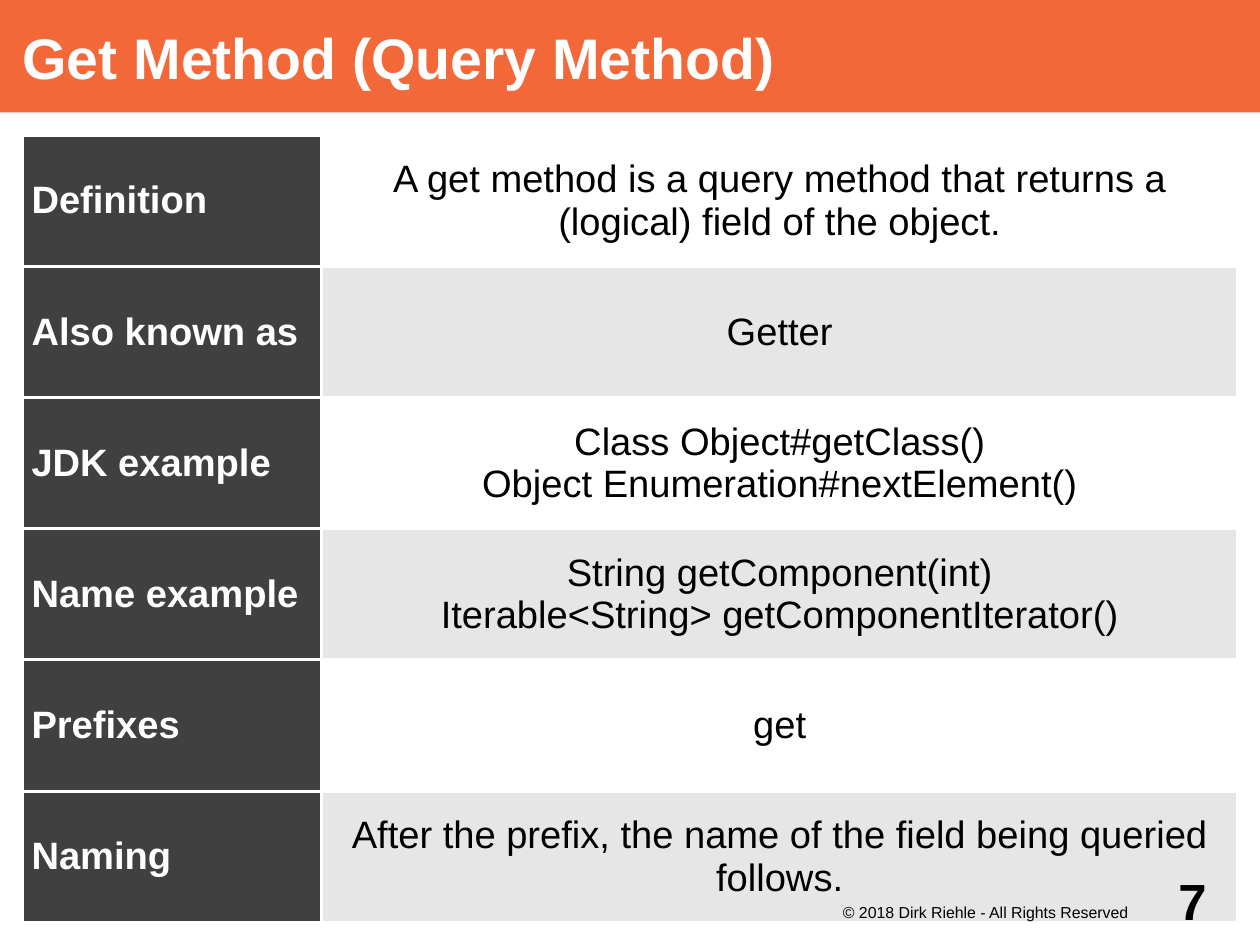
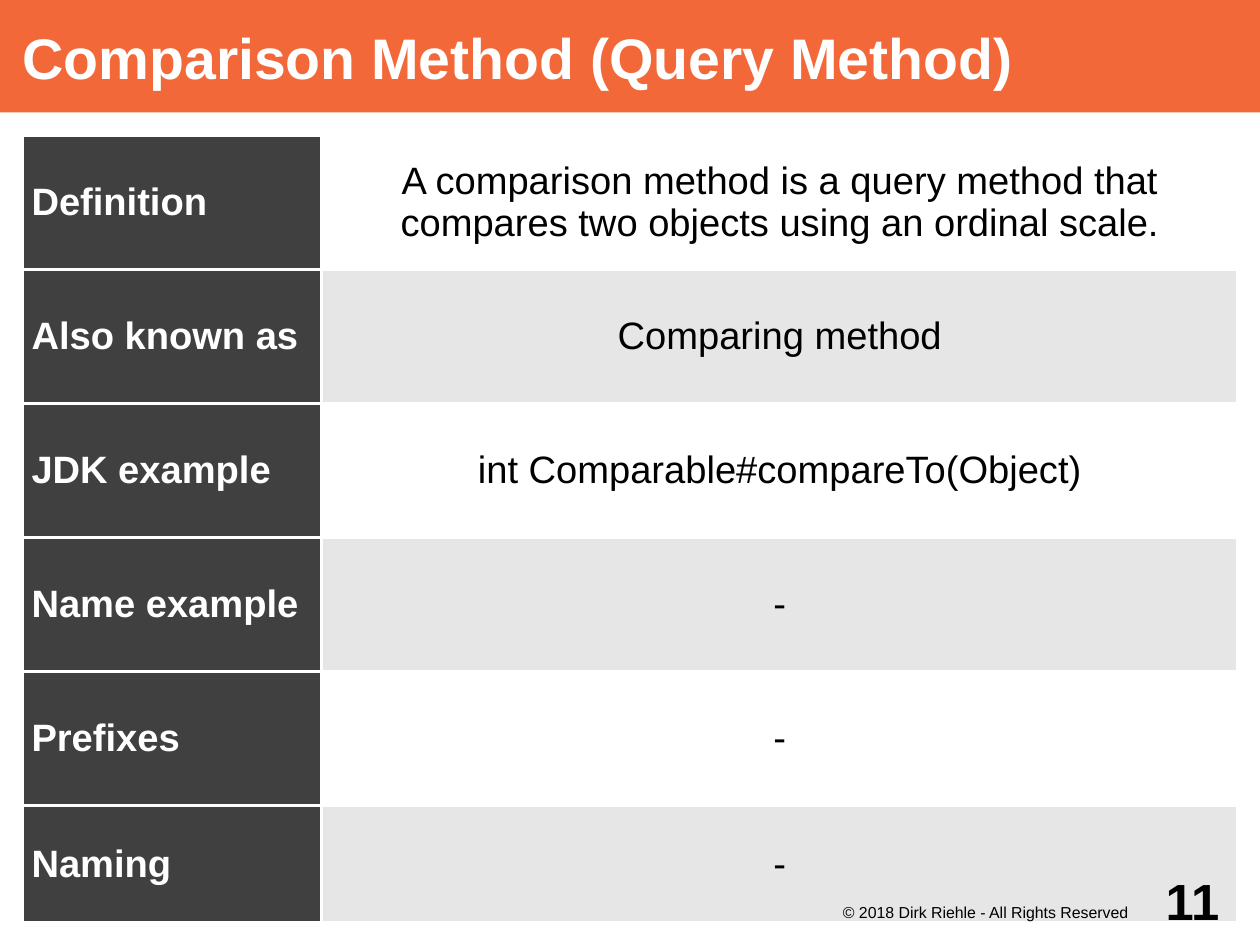
from lxml.etree import SubElement
from pptx import Presentation
from pptx.dml.color import RGBColor
from pptx.enum.shapes import MSO_SHAPE
from pptx.enum.text import MSO_ANCHOR, PP_ALIGN
from pptx.oxml.ns import qn
from pptx.util import Cm, Pt

ORANGE = RGBColor(0xF3, 0x68, 0x38)
DARK = RGBColor(0x40, 0x40, 0x40)
GREY = RGBColor(0xE6, 0xE6, 0xE6)
WHITE = RGBColor(0xFF, 0xFF, 0xFF)
BLACK = RGBColor(0, 0, 0)
FONT = "Arial"
WIDTH, HEIGHT = 28, 21
NOTICE = "© 2018 Dirk Riehle - All Rights Reserved"
LABELS = ["Definition", "Also known as", "JDK example",
          "Name example", "Prefixes", "Naming"]
PAGES = [
    ("Get Method (Query Method)", 7, 17.5 / 6, [
        "A get method is a query method that returns a (logical) field of the object.",
        "Getter",
        "Class Object#getClass()\nObject Enumeration#nextElement()",
        "String getComponent(int)\nIterable<String> getComponentIterator()",
        "get",
        "After the prefix, the name of the field being queried follows.",
    ]),
    ("Comparison Method (Query Method)", 11, 2.98, [
        "A comparison method is a query method that compares two objects using an ordinal scale.",
        "Comparing method",
        "int Comparable#compareTo(Object)",
        "-",
        "-",
        "-",
    ]),
]


def write(frame, text, size=24, color=BLACK, bold=False, align=PP_ALIGN.CENTER):
    """Fill a text frame with one paragraph for each line of text."""
    frame.word_wrap = True
    frame.text = text
    for para in frame.paragraphs:
        para.alignment = align
        font = para.font
        font.name, font.size, font.bold = FONT, Pt(size), bold
        font.color.rgb = color


def inset(frame, left=0, top=0, right=0, bottom=0):
    """Set the inner margins of a text frame."""
    frame.margin_left, frame.margin_top = Cm(left), Cm(top)
    frame.margin_right, frame.margin_bottom = Cm(right), Cm(bottom)


def add_title(slide, text, box):
    """Draw the title band."""
    band = slide.shapes.add_shape(MSO_SHAPE.RECTANGLE, *map(Cm, box))
    band.shadow.inherit = False
    band.fill.solid()
    band.fill.fore_color.rgb = ORANGE
    band.line.fill.background()
    frame = band.text_frame
    inset(frame, left=0.5)
    frame.vertical_anchor = MSO_ANCHOR.MIDDLE
    write(frame, text, size=36, color=WHITE, bold=True, align=PP_ALIGN.LEFT)


def style_cell(cell, fill):
    """Give a cell its margins, white borders and fill."""
    cell.vertical_anchor = MSO_ANCHOR.MIDDLE
    cell.margin_left = cell.margin_right = Cm(0.2)
    cell.margin_top = cell.margin_bottom = Cm(0.13)
    props = cell._tc.get_or_add_tcPr()
    for side in ("a:lnL", "a:lnR", "a:lnT", "a:lnB"):
        line = SubElement(props, qn(side), w=str(Pt(2.27)))
        paint = SubElement(line, qn("a:solidFill"))
        SubElement(paint, qn("a:srgbClr"), val=str(WHITE))
    cell.fill.solid()
    cell.fill.fore_color.rgb = fill


def add_grid(slide, values, step, box):
    """Draw the label and value table; the last row takes what is left."""
    left, top, width, height = box
    count = len(LABELS)
    table = slide.shapes.add_table(count, 2, *map(Cm, box)).table
    table.first_row = table.horz_banding = False
    first = 6.65
    table.columns[0].width = Cm(first)
    table.columns[1].width = Cm(width - first)
    for i, (label, value) in enumerate(zip(LABELS, values)):
        last = i == count - 1
        table.rows[i].height = Cm(height - step * i if last else step)
        head, body = table.cell(i, 0), table.cell(i, 1)
        style_cell(head, DARK)
        style_cell(body, GREY if i % 2 else WHITE)
        write(head.text_frame, label, color=WHITE, bold=True, align=PP_ALIGN.LEFT)
        write(body.text_frame, value)


def add_foot(slide, number, box):
    """Place the copyright line and page number in the foot area."""
    left, top, width, height = box
    note = slide.shapes.add_textbox(
        Cm(left), Cm(top + height / 2), Cm(8), Cm(height / 2)).text_frame
    inset(note, top=0.05, right=0.2)
    write(note, NOTICE, size=10)
    page = slide.shapes.add_textbox(
        Cm(left + width - 2.5), Cm(top), Cm(2.5), Cm(height)).text_frame
    inset(page, right=0.5)
    page.vertical_anchor = MSO_ANCHOR.MIDDLE
    write(page, str(number), size=32, bold=True)


def main():
    """Build and save the slides."""
    deck = Presentation()
    deck.slide_width, deck.slide_height = Cm(WIDTH), Cm(HEIGHT)
    for title, number, step, values in PAGES:
        slide = deck.slides.add_slide(deck.slide_layouts[6])
        add_title(slide, title, (0, 0, WIDTH, 2.5))
        add_grid(slide, values, step, (0.5, 3, WIDTH - 1, 17.5))
        add_foot(slide, number, (18, 19, 10, 2))
    deck.save("out.pptx")


if __name__ == "__main__":
    main()
